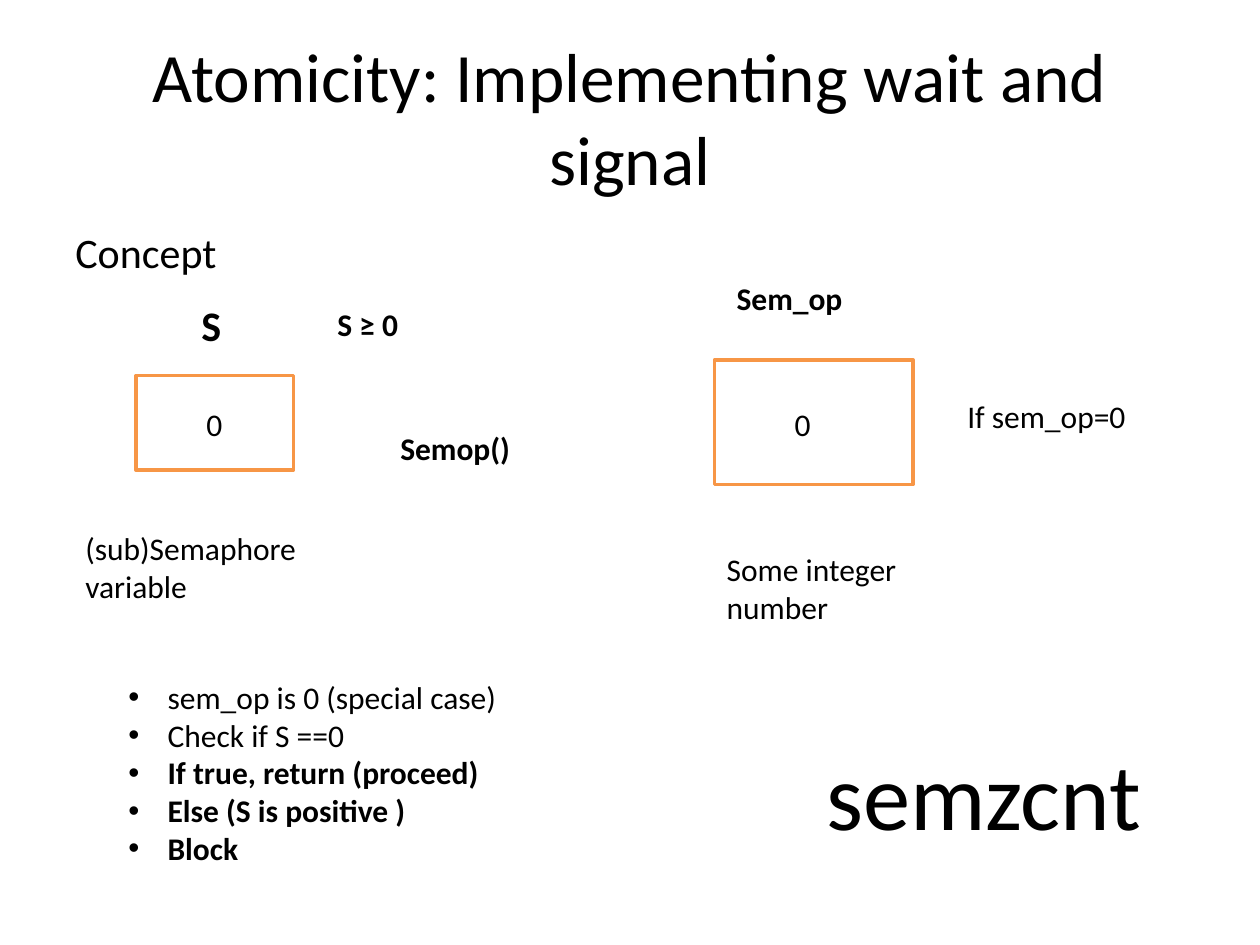
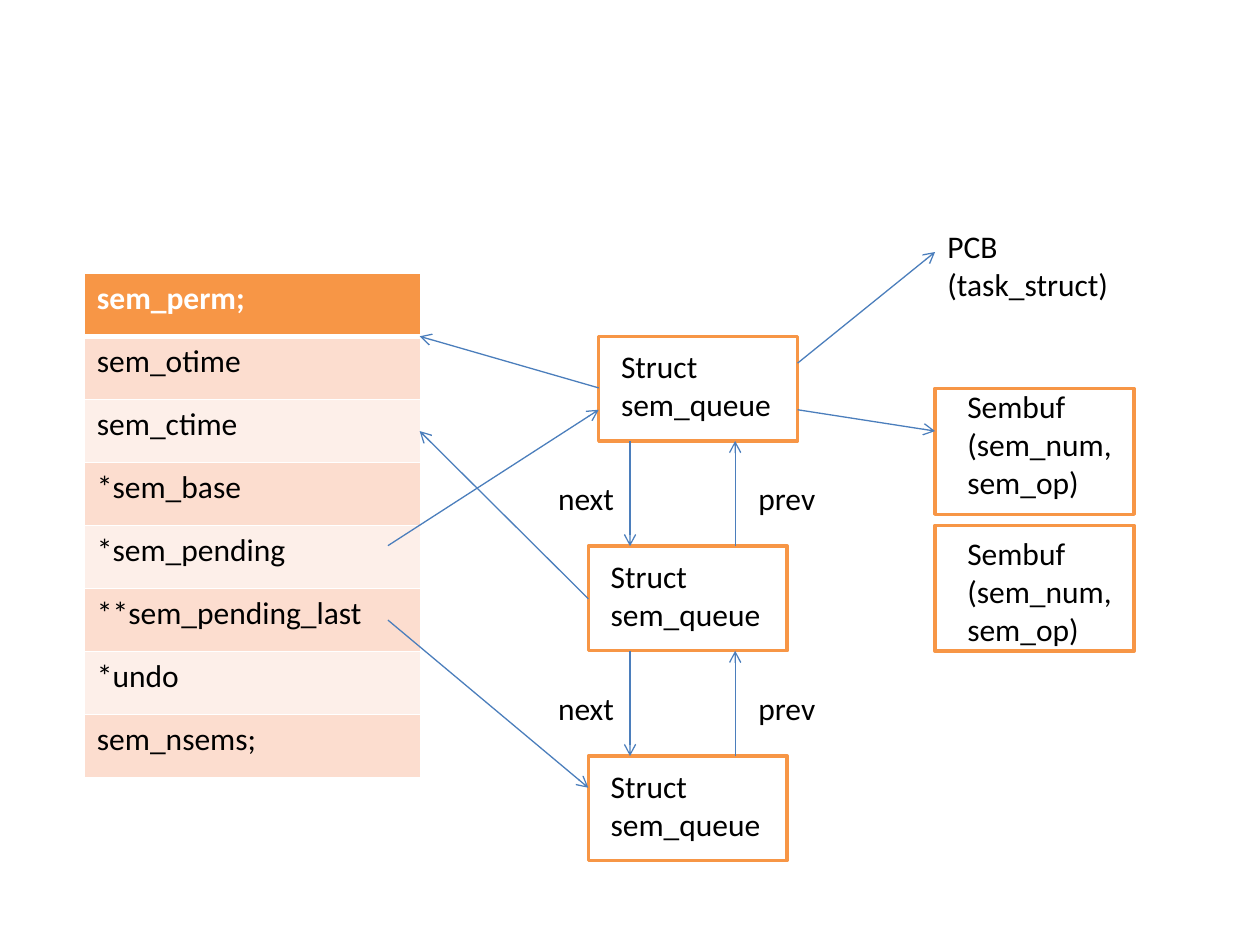
import pptx
import pptx.util
import pptx.dml.color
import pptx.enum.shapes
import pptx.enum.text
import pptx.oxml
import pptx.oxml.ns
from dataclasses import dataclass
from lxml import etree

Cm = pptx.util.Cm
Pt = pptx.util.Pt
align = pptx.enum.text.PP_ALIGN
anchor = pptx.enum.text.MSO_ANCHOR
qn = pptx.oxml.ns.qn


@dataclass(frozen=True)
class Theme:
    font: str = "Calibri"
    ink: str = "000000"
    paper: str = "FFFFFF"
    accent: str = "F79646"
    arrow: str = "4B7EBC"
    bands: tuple = ("FCDDCF", "FDEFE9")
    title: float = 39.6
    head: float = 24
    body: float = 18
    huge: float = 54
    frame: float = 2
    thin: float = 0.75


theme = Theme()


def color(code):
    return pptx.dml.color.RGBColor.from_string(code)


def style(para, size=theme.body, bold=False, ink=theme.ink):
    font = para.font
    font.name, font.size, font.bold = theme.font, Pt(size), bold
    font.color.rgb = color(ink)


def bullet(para):
    props = para._p.get_or_add_pPr()
    props.set("marL", str(Cm(0.79)))
    props.set("indent", str(-Cm(0.79)))
    etree.SubElement(props, qn("a:buFont"), typeface="Arial")
    etree.SubElement(props, qn("a:buChar"), char="•")


def write(slide, box, *lines, size=theme.body, bold=(), side=align.LEFT,
          place=anchor.TOP, wrap=True, dots=False, before=0):
    frame = slide.shapes.add_textbox(*map(Cm, box)).text_frame
    frame.word_wrap = wrap
    frame.vertical_anchor = place
    for i, line in enumerate(lines):
        para = frame.paragraphs[0] if i == 0 else frame.add_paragraph()
        para.text = line
        para.alignment = side
        para.space_before = Pt(before)
        if dots:
            bullet(para)
        style(para, size, i in bold)


def panel(slide, box):
    kind = pptx.enum.shapes.MSO_SHAPE.RECTANGLE
    shape = slide.shapes.add_shape(kind, *map(Cm, box))
    shape.shadow.inherit = False
    shape.fill.solid()
    shape.fill.fore_color.rgb = color(theme.paper)
    shape.line.color.rgb = color(theme.accent)
    shape.line.width = Pt(theme.frame)


def arrow(slide, start, end):
    kind = pptx.enum.shapes.MSO_CONNECTOR.STRAIGHT
    link = slide.shapes.add_connector(kind, *map(Cm, (*start, *end)))
    link.line.color.rgb = color(theme.arrow)
    link.line.width = Pt(theme.thin)
    etree.SubElement(link.line._get_or_add_ln(), qn("a:tailEnd"), type="arrow")
    etree.SubElement(link._element.spPr, qn("a:effectLst"))


def store(slide, box, value, parts):
    x, y = box[:2]
    panel(slide, box)
    write(slide, (x + value[0], y + value[1], 1.5, 1.02), "0")
    for (dx, dy, w, h), text, size, bold in parts:
        write(slide, (x + dx, y + dy, w, h), text, size=size, bold=bold)


def edge(cell, name, width):
    line = etree.SubElement(cell._tc.get_or_add_tcPr(), qn("a:" + name),
                            w=str(Pt(width)))
    fill = etree.SubElement(line, qn("a:solidFill"))
    etree.SubElement(fill, qn("a:srgbClr"), val=theme.paper)


def record(slide, box, names):
    table = slide.shapes.add_table(len(names), 1, *map(Cm, box)).table
    for i, name in enumerate(names):
        cell = table.cell(i, 0)
        top = i == 0
        for side in ("lnL", "lnR", "lnT", "lnB"):
            heavy = (side == "lnB" and top) or (side == "lnT" and i == 1)
            edge(cell, side, 3 if heavy else 1)
        cell.fill.solid()
        cell.fill.fore_color.rgb = color(
            theme.accent if top else theme.bands[(i - 1) % 2])
        cell.text = name
        style(cell.text_frame.paragraphs[0], bold=top,
              ink=theme.paper if top else theme.ink)


def chain(slide, box):
    x, y, w, h = box
    step = 4.23
    for i, shift in enumerate((0.21, 0, 0)):
        left, top = x + shift, y + i * step
        panel(slide, (left, top, w, h))
        write(slide, (left + 0.2, top + 0.1, 4.24, 1.8), "Struct sem_queue")
    for i in range(2):
        high, low = y + i * step + h, y + (i + 1) * step
        arrow(slide, (x + 0.84, high), (x + 0.84, low))
        arrow(slide, (x + 2.96, low), (x + 2.96, high))
        write(slide, (x - 0.86, high + 0.64, 1.91, 1.02), "next")
        write(slide, (x + 3.18, high + 0.64, 2.11, 1.02), "prev")


def task(slide, box):
    x, y, w, h = box
    write(slide, (x, y, 4.65, 1.8), "PCB (task_struct)")
    for top, drop in ((3.38, -0.15), (6.14, 0.05)):
        panel(slide, (x, y + top, w, h))
        write(slide, (x + 0.4, y + top + drop, w, 3.33),
              "Sembuf", "(sem_num, sem_op)")


def concept(slide):
    write(slide, (1.27, 0.76, 22.86, 3.18),
          "Atomicity: Implementing wait and signal", size=theme.title,
          side=align.CENTER, place=anchor.MIDDLE)
    write(slide, (1.27, 4.45, 22.86, 12.57), "Concept", size=theme.head,
          before=4.8)
    store(slide, (2.74, 7.57, 3.18, 1.91), (1.17, 0.48), (
        ((1.07, -1.65, 1.47, 1.27), "S", theme.head, (0,)),
        ((3.81, -1.55, 2.54, 1.02), "S ≥ 0", theme.body, (0,)),
        ((-1.27, 2.97, 5.08, 1.8), "(sub)Semaphore variable", theme.body, ())))
    store(slide, (14.4, 7.26, 4.01, 2.51), (1.37, 0.79), (
        ((0.2, -1.75, 4.65, 1.02), "Sem_op", theme.body, (0,)),
        ((4.85, 0.61, 4.24, 1.02), "If sem_op=0", theme.body, ()),
        ((0, 3.71, 5.72, 1.8), "Some integer number", theme.body, ())))
    write(slide, (7.82, 8.53, 2.97, 1.02), "Semop()", bold=(0,))
    write(slide, (2.34, 13.54, 17.78, 4.88), "sem_op is 0 (special case)",
          "Check if S ==0", "If true, return (proceed)",
          "Else (S is positive )", "Block", bold=(2, 3, 4), dots=True)
    write(slide, (16.41, 14.71, 6.93, 2.57), "semzcnt", size=theme.huge,
          wrap=False)


def queue(slide):
    record(slide, (1.7, 5.51, 6.78, 10.16), (
        "sem_perm;", "sem_otime", "sem_ctime", "*sem_base", "*sem_pending",
        "**sem_pending_last", "*undo", "sem_nsems;"))
    chain(slide, (11.86, 6.78, 4.01, 2.11))
    task(slide, (18.85, 4.45, 4.01, 2.54))
    for start, end in (((7.82, 11), (12.07, 8.26)),
                       ((7.82, 12.5), (11.86, 15.88)),
                       ((12.07, 7.82), (8.46, 6.78)),
                       ((11.86, 12.07), (8.46, 8.69)),
                       ((16.08, 7.32), (18.85, 5.08)),
                       ((16.08, 8.26), (18.85, 8.69))):
        arrow(slide, start, end)


deck = pptx.Presentation()
deck.slide_width, deck.slide_height = Cm(25.4), Cm(19.05)
for build in (concept, queue):
    build(deck.slides.add_slide(deck.slide_layouts[6]))
deck.save("out.pptx")
